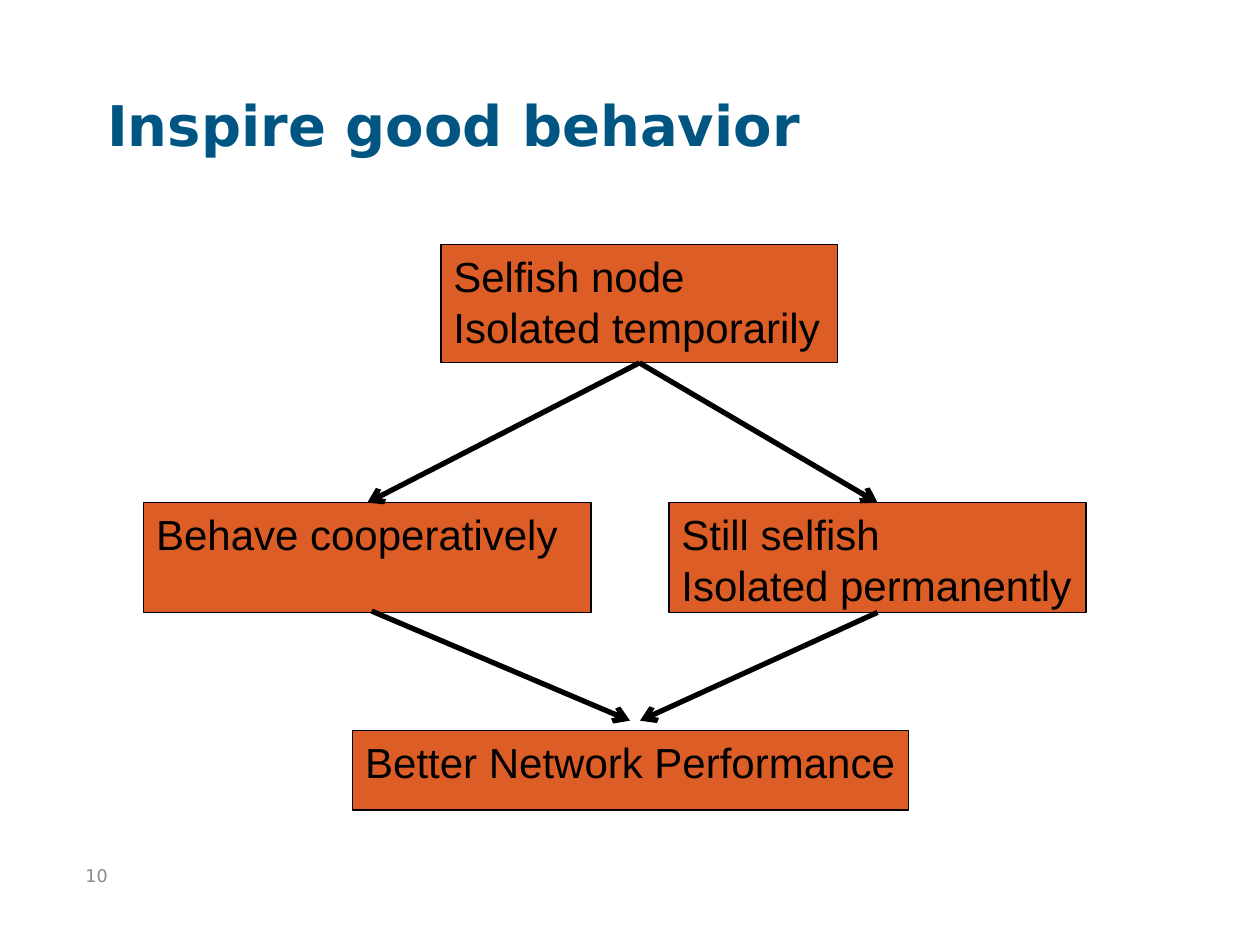
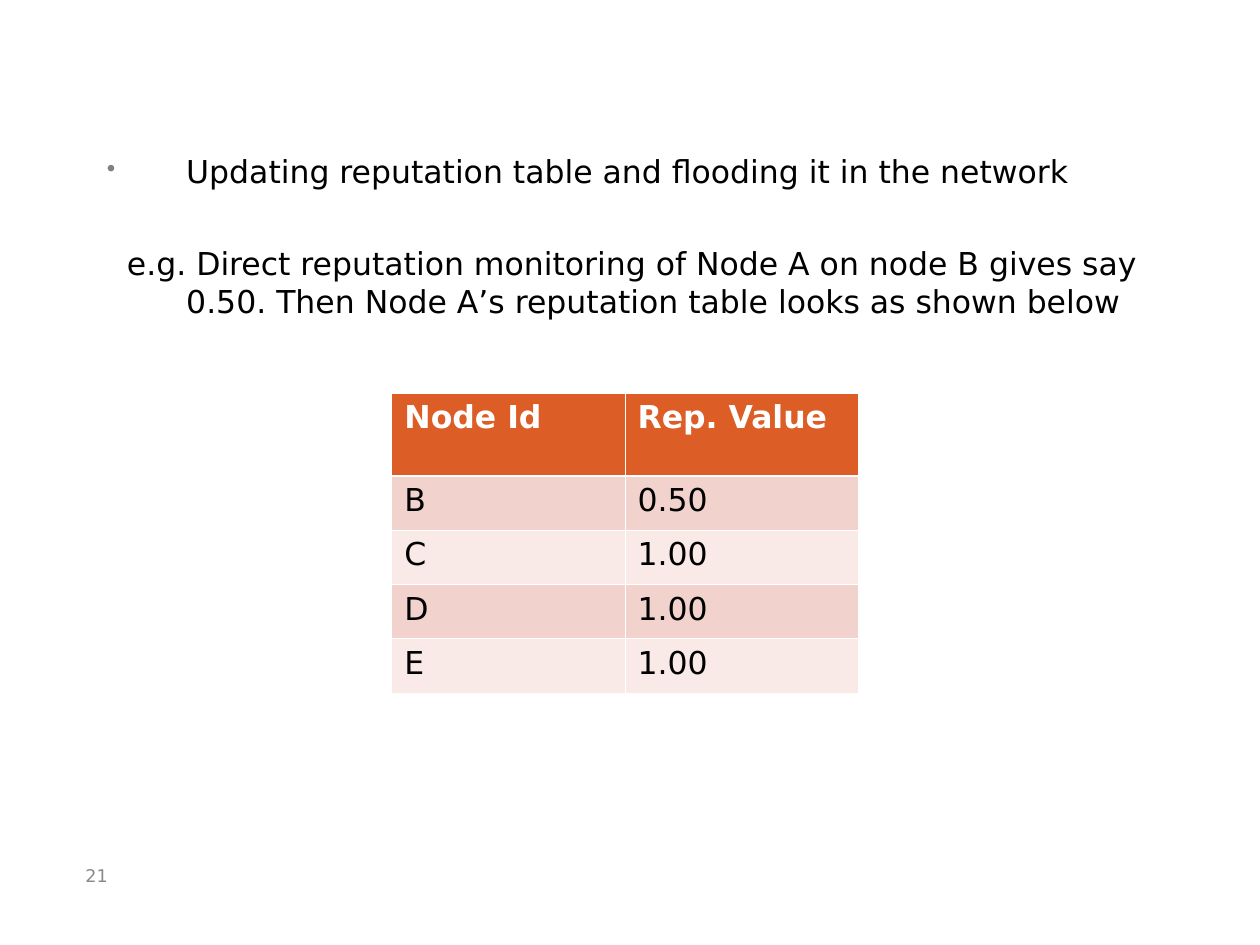
from dataclasses import dataclass

from lxml import etree
from pptx import Presentation, util as u
from pptx.dml.color import RGBColor
from pptx.enum import shapes, text
from pptx.oxml import ns

In, Pt = u.Inches, u.Pt
TITLE_ONLY, BLANK = 5, 6


@dataclass(frozen=True)
class Theme:
    title: str = "005582"
    accent: str = "DC5D26"
    bands: tuple = ("F2D2CD", "F9EAE8")
    ink: str = "000000"
    paper: str = "FFFFFF"
    bullet: str = "808080"
    footer: str = "898989"
    font: str = "DejaVu Sans"
    box_font: str = "Arial"
    title_size: float = 32
    box_size: float = 24
    body_size: float = 18
    footer_size: float = 10
    box_line: float = 0.75
    arrow_line: float = 3
    grid_line: float = 0.45
    header_line: float = 1.47


def rgb(color):
    return RGBColor.from_string(color)


def add_xml(parent, tag, **attributes):
    return etree.SubElement(parent, ns.qn(tag), attributes)


def set_font(paragraph, name, size, color, bold=False):
    font = paragraph.font
    font.name, font.size, font.bold = name, Pt(size), bold
    font.color.rgb = rgb(color)


class Deck:
    def __init__(self, theme):
        self.theme = theme
        self.prs = Presentation()
        self.prs.slide_width, self.prs.slide_height = In(10), In(7.5)
        self.slide = None

    def new_slide(self, number, title=None):
        layout = TITLE_ONLY if title else BLANK
        self.slide = self.prs.slides.add_slide(self.prs.slide_layouts[layout])
        if title:
            self.title(title)
        self.page_number(number)

    def title(self, wording):
        heading = self.slide.shapes.title
        heading.left, heading.top = In(0.75), In(0.67)
        heading.width, heading.height = In(8.5), In(1.25)
        frame = heading.text_frame
        frame.text = wording
        frame.vertical_anchor = text.MSO_ANCHOR.TOP
        frame.paragraphs[0].alignment = text.PP_ALIGN.LEFT
        t = self.theme
        set_font(frame.paragraphs[0], t.font, t.title_size, t.title, bold=True)

    def text_frame(self, left, top, width, height):
        frame = self.slide.shapes.add_textbox(
            In(left), In(top), In(width), In(height)).text_frame
        frame.word_wrap = True
        return frame

    def page_number(self, number):
        frame = self.text_frame(0.58, 6.75, 0.75, 0.4)
        frame.vertical_anchor = text.MSO_ANCHOR.MIDDLE
        frame.text = str(number)
        t = self.theme
        set_font(frame.paragraphs[0], t.font, t.footer_size, t.footer)

    def box(self, wording, left, top, width, height):
        t = self.theme
        box = self.slide.shapes.add_shape(
            shapes.MSO_SHAPE.RECTANGLE, In(left), In(top), In(width), In(height))
        box.shadow.inherit = False
        box.fill.solid()
        box.fill.fore_color.rgb = rgb(t.accent)
        box.line.color.rgb = rgb(t.ink)
        box.line.width = Pt(t.box_line)
        frame = box.text_frame
        frame.text = wording
        frame.word_wrap = True
        frame.vertical_anchor = text.MSO_ANCHOR.TOP
        for paragraph in frame.paragraphs:
            paragraph.alignment = text.PP_ALIGN.LEFT
            set_font(paragraph, t.box_font, t.box_size, t.ink)
        return box

    def arrow(self, start, end):
        """Each end is either an (x, y) point or a (box, side) pair."""
        def is_point(place):
            return isinstance(place[0], (int, float))

        points = [(In(p[0]), In(p[1])) if is_point(p) else (0, 0)
                  for p in (start, end)]
        arrow = self.slide.shapes.add_connector(
            shapes.MSO_CONNECTOR.STRAIGHT, *points[0], *points[1])
        if not is_point(start):
            arrow.begin_connect(*start)
        if not is_point(end):
            arrow.end_connect(*end)
        arrow.line.color.rgb = rgb(self.theme.ink)
        arrow.line.width = Pt(self.theme.arrow_line)
        add_xml(arrow.line._get_or_add_ln(), "a:tailEnd", type="arrow")
        add_xml(arrow._element.spPr, "a:effectLst")

    def body(self, items, left, top, width, height):
        """Items are (wording, bulleted, first-line indent, space before)."""
        t = self.theme
        frame = self.text_frame(left, top, width, height)
        for i, (wording, bulleted, indent, space) in enumerate(items):
            paragraph = frame.paragraphs[0] if i == 0 else frame.add_paragraph()
            paragraph.text = wording
            if space:
                paragraph.space_before = Pt(space)
            props = paragraph._p.get_or_add_pPr()
            props.set("marL", str(In(0.63)))
            props.set("indent", str(In(indent)))
            if bulleted:
                add_xml(add_xml(props, "a:buClr"), "a:srgbClr", val=t.bullet)
                add_xml(props, "a:buSzPct", val="80000")
                add_xml(props, "a:buChar", char="•")
            set_font(paragraph, t.font, t.body_size, t.ink)

    def borders(self, cell, top, bottom):
        props = cell._tc.get_or_add_tcPr()
        grid = self.theme.grid_line
        for side, width in zip("LRTB", (grid, grid, top, bottom)):
            line = add_xml(props, f"a:ln{side}", w=str(Pt(width)))
            add_xml(add_xml(line, "a:solidFill"), "a:srgbClr", val=self.theme.paper)

    def table(self, rows, left, top, col_width, header_height, row_height):
        t = self.theme
        columns = len(rows[0])
        height = header_height + row_height * (len(rows) - 1)
        table = self.slide.shapes.add_table(
            len(rows), columns, In(left), In(top),
            In(col_width * columns), In(height)).table
        table.first_row = table.horz_banding = False
        for column in table.columns:
            column.width = In(col_width)
        for r, values in enumerate(rows):
            header = r == 0
            table.rows[r].height = In(header_height if header else row_height)
            for c, value in enumerate(values):
                cell = table.cell(r, c)
                cell.text = value
                self.borders(cell, t.header_line if r == 1 else t.grid_line,
                             t.header_line if header else t.grid_line)
                cell.fill.solid()
                cell.fill.fore_color.rgb = rgb(
                    t.accent if header else t.bands[(r - 1) % 2])
                set_font(cell.text_frame.paragraphs[0], t.font, t.body_size,
                         t.paper if header else t.ink, bold=header)


def behavior_slide(deck):
    deck.new_slide(10, "Inspire good behavior")
    top, bottom = 0, 2
    selfish = deck.box("Selfish node Isolated temporarily", 3.5, 1.94, 3.15, 0.94)
    cooperative = deck.box("Behave cooperatively", 1.14, 3.99, 3.55, 0.87)
    isolated = deck.box("Still selfish\nIsolated permanently", 5.31, 3.99, 3.31, 0.87)
    deck.box("Better Network Performance", 2.8, 5.8, 4.41, 0.63)
    deck.arrow((selfish, bottom), (cooperative, top))
    deck.arrow((selfish, bottom), (isolated, top))
    deck.arrow((2.95, 4.85), (5, 5.72))
    deck.arrow((isolated, bottom), (5.08, 5.72))


def reputation_slide(deck):
    deck.new_slide(21)
    deck.body([
        ("Updating reputation table and flooding it in the network",
         True, -0.63, 0),
        ("e.g. Direct reputation monitoring of Node A on node B gives say 0.50. "
         "Then Node A’s reputation table looks as shown below",
         False, -0.47, 31),
    ], 0.75, 1.16, 8.5, 1.6)
    deck.table([("Node Id", "Rep. Value"), ("B", "0.50"), ("C", "1.00"),
                ("D", "1.00"), ("E", "1.00")], 3.11, 3.12, 1.85, 0.66, 0.43)


def main():
    deck = Deck(Theme())
    behavior_slide(deck)
    reputation_slide(deck)
    deck.prs.save("out.pptx")


if __name__ == "__main__":
    main()
